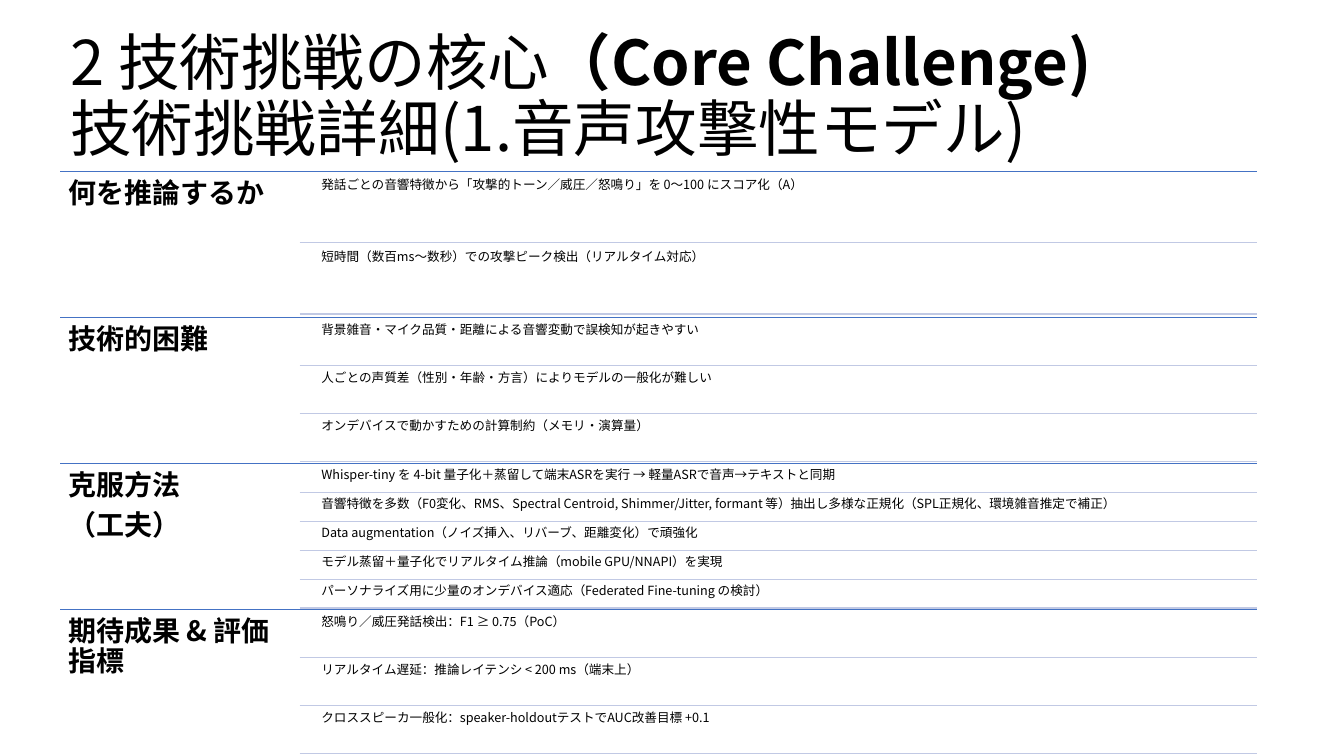
from dataclasses import dataclass

from lxml import etree
from pptx import Presentation
from pptx.dml.color import RGBColor
from pptx.enum.shapes import MSO_CONNECTOR
from pptx.enum.text import MSO_ANCHOR
from pptx.oxml.ns import qn
from pptx.util import Cm, Pt

STRAIGHT = MSO_CONNECTOR.STRAIGHT
TOP, MIDDLE = MSO_ANCHOR.TOP, MSO_ANCHOR.MIDDLE


@dataclass(frozen=True)
class Theme:
    font: str = "Noto Sans CJK JP"
    text: RGBColor = RGBColor(0x00, 0x00, 0x00)
    section_line: RGBColor = RGBColor(0x44, 0x72, 0xC4)
    item_line: RGBColor = RGBColor(0xC1, 0xC9, 0xE4)
    line_width: float = 1
    title_size: float = 44
    heading_size: float = 20
    item_size: float = 9
    line_spacing: float = 0.9
    space_after: float = 0.35


THEME = Theme()

TITLE_LINES = [
    [("2 技術挑戦の核心", False), ("（Core Challenge)", True)],
    [("技術挑戦詳細(1.音声攻撃性モデル)", False)],
]

SECTIONS = [
    (["何を推論するか"], [
        "発話ごとの音響特徴から「攻撃的トーン／威圧／怒鳴り」を 0〜100 にスコア化（A）",
        "短時間（数百ms〜数秒）での攻撃ピーク検出（リアルタイム対応）",
    ]),
    (["技術的困難"], [
        "背景雑音・マイク品質・距離による音響変動で誤検知が起きやすい",
        "人ごとの声質差（性別・年齢・方言）によりモデルの一般化が難しい",
        "オンデバイスで動かすための計算制約（メモリ・演算量）",
    ]),
    (["克服方法", "（工夫）"], [
        "Whisper-tiny を 4-bit 量子化＋蒸留して端末ASRを実行 → 軽量ASRで音声→テキストと同期",
        "音響特徴を多数（F0変化、RMS、Spectral Centroid, Shimmer/Jitter, formant 等）"
        "抽出し多様な正規化（SPL正規化、環境雑音推定で補正）",
        "Data augmentation（ノイズ挿入、リバーブ、距離変化）で頑強化",
        "モデル蒸留＋量子化でリアルタイム推論（mobile GPU/NNAPI）を実現",
        "パーソナライズ用に少量のオンデバイス適応（Federated Fine-tuning の検討）",
    ]),
    (["期待成果 & 評価指標"], [
        "怒鳴り／威圧発話検出：F1 ≥ 0.75（PoC）",
        "リアルタイム遅延：推論レイテンシ < 200 ms（端末上）",
        "クロススピーカ一般化：speaker-holdoutテストでAUC改善目標 +0.1",
    ]),
]


def add_run(paragraph, text, size, bold):
    run = paragraph.add_run()
    run.text = text
    run.font.size = Pt(size)
    run.font.bold = bold
    run.font.color.rgb = THEME.text
    run.font.name = THEME.font
    east_asian = etree.SubElement(run.font._element, qn("a:ea"))
    east_asian.set("typeface", THEME.font)


def add_frame(slide, left, top, width, height, inset_x, inset_y, anchor=TOP):
    """Add an empty wrapping text box and return its text frame."""
    frame = slide.shapes.add_textbox(Cm(left), Cm(top), Cm(width), Cm(height)).text_frame
    frame.word_wrap = True
    frame.vertical_anchor = anchor
    frame.margin_left = frame.margin_right = Cm(inset_x)
    frame.margin_top = frame.margin_bottom = Cm(inset_y)
    return frame


def add_paragraphs(frame, lines, size, bold):
    for index, line in enumerate(lines):
        paragraph = frame.add_paragraph() if index else frame.paragraphs[0]
        paragraph.line_spacing = THEME.line_spacing
        paragraph.space_after = Pt(size * THEME.space_after)
        add_run(paragraph, line, size, bold)


def add_rule(slide, left, right, y, color):
    rule = slide.shapes.add_connector(STRAIGHT, Cm(left), Cm(y), Cm(right), Cm(y))
    rule.line.color.rgb = color
    rule.line.width = Pt(THEME.line_width)
    etree.SubElement(rule._element.spPr, qn("a:effectLst"))


def add_title(slide, left, top, width, height):
    frame = add_frame(slide, left, top, width, height, 0.25, 0.13, MIDDLE)
    paragraph = frame.paragraphs[0]
    paragraph.line_spacing = THEME.line_spacing
    for index, line in enumerate(TITLE_LINES):
        if index:
            paragraph.add_line_break()
        for text, bold in line:
            add_run(paragraph, text, THEME.title_size, bold)


def add_section(slide, left, top, width, height, heading, items):
    """Heading on the left fifth; items on the right, each closed by a thin rule."""
    right = left + width
    heading_width = width / 5
    rule_left = left + heading_width
    item_left = rule_left + 0.45
    item_height = height / (len(items) + 0.05 * (len(items) + 1))
    gap = 0.05 * item_height

    add_rule(slide, left, right, top, THEME.section_line)
    frame = add_frame(slide, left, top, heading_width, height, 0.2, 0.2)
    add_paragraphs(frame, heading, THEME.heading_size, True)
    for index, item in enumerate(items):
        item_top = top + gap + index * (item_height + gap)
        frame = add_frame(slide, item_left, item_top, right - item_left, item_height, 0.1, 0.1)
        add_paragraphs(frame, [item], THEME.item_size, False)
        add_rule(slide, rule_left, right, item_top + item_height, THEME.item_line)


def main():
    presentation = Presentation()
    presentation.slide_width = Cm(33.87)
    presentation.slide_height = Cm(19.05)
    slide = presentation.slides.add_slide(presentation.slide_layouts[6])

    left, section_top, width, section_height = 1.52, 4.32, 30.15, 3.68
    add_title(slide, left, 0.64, 29.21, section_height)
    for index, (heading, items) in enumerate(SECTIONS):
        top = section_top + index * section_height
        add_section(slide, left, top, width, section_height, heading, items)
    presentation.save("out.pptx")


if __name__ == "__main__":
    main()
